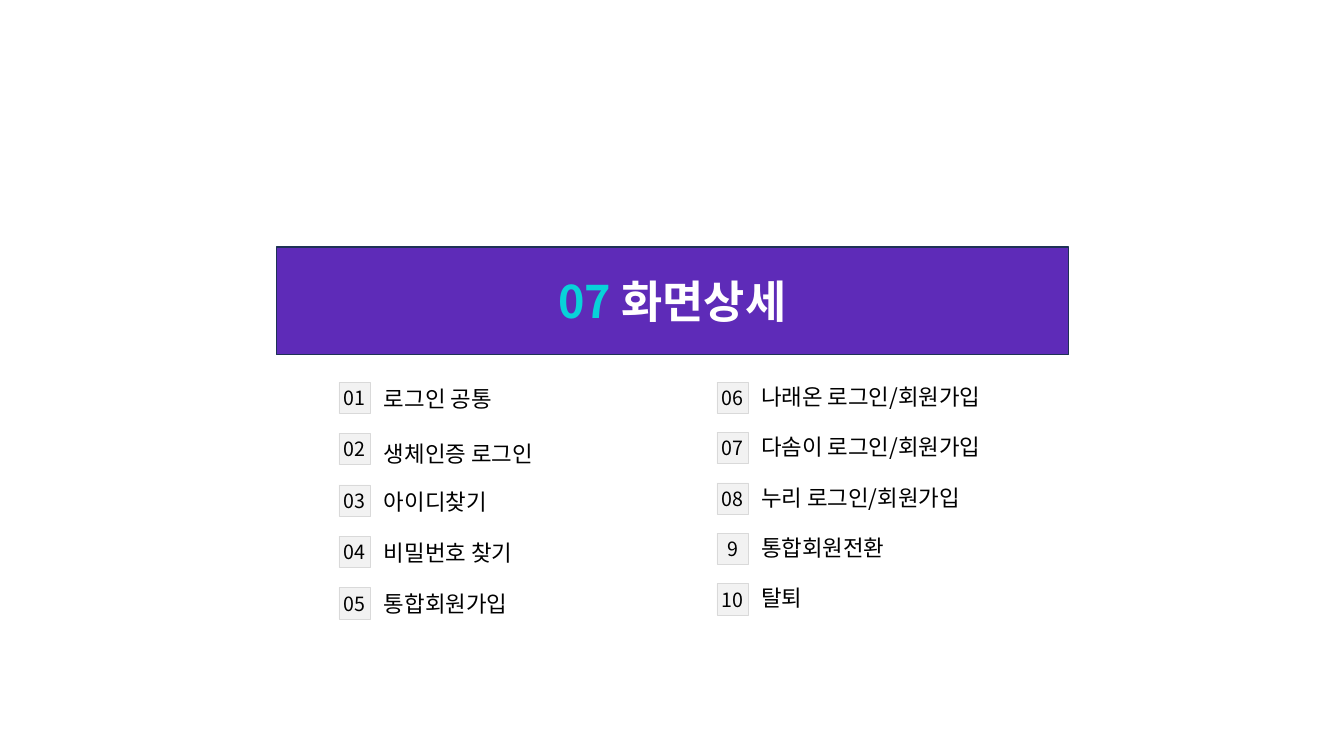
import pptx
import pptx.util
import pptx.dml.color
import pptx.enum.shapes
import pptx.enum.text
import pptx.oxml.ns
import lxml.etree

Inches = pptx.util.Inches
Pt = pptx.util.Pt
qn = pptx.oxml.ns.qn
MSO_ANCHOR = pptx.enum.text.MSO_ANCHOR
PP_ALIGN = pptx.enum.text.PP_ALIGN
MSO_AUTO_SIZE = pptx.enum.text.MSO_AUTO_SIZE

FONT = "Noto Sans CJK KR"
TITLE = [("07 ", "08D2D9"), ("화면상세", "FFFFFF")]
COLUMNS = [
    {"left": 3.36, "top": 3.79, "pitch": 0.51, "label_dx": 0.35, "label_dy": -0.02,
     "items": [("01", "로그인 공통"), ("02", "생체인증 로그인"), ("03", "아이디찾기"),
               ("04", "비밀번호 찾기"), ("05", "통합회원가입")]},
    {"left": 7.11, "top": 3.79, "pitch": 0.5, "label_dx": 0.34, "label_dy": -0.04,
     "items": [("06", "나래온 로그인/회원가입"), ("07", "다솜이 로그인/회원가입"),
               ("08", "누리 로그인/회원가입"), ("9", "통합회원전환"), ("10", "탈퇴")]},
]
LABEL_NUDGES = {"02": 0.04}
BADGE = 0.31


def color(value):
    return pptx.dml.color.RGBColor.from_string(value)


def paint(sp, fill, line, width):
    sp.fill.solid()
    sp.fill.fore_color.rgb = color(fill)
    sp.line.color.rgb = color(line)
    sp.line.width = Pt(width)


def format_paragraph(p, size, align, rgb=None, bold=False):
    p.alignment = align
    p.font.size = Pt(size)
    p.font.bold = bold
    if rgb:
        p.font.color.rgb = color(rgb)
    p.font.name = FONT
    props = p._p.pPr.find(qn("a:defRPr"))
    lxml.etree.SubElement(props, qn("a:ea")).set("typeface", FONT)


def add_title(s):
    sp = s.shapes.title
    sp.left, sp.top, sp.width, sp.height = map(Inches, (2.74, 2.45, 7.86, 1.07))
    paint(sp, "5E2BB8", "1E3256", 1)
    tf = sp.text_frame
    tf.auto_size = MSO_AUTO_SIZE.NONE
    tf.vertical_anchor = MSO_ANCHOR.MIDDLE
    p = tf.paragraphs[0]
    format_paragraph(p, 32, PP_ALIGN.CENTER, bold=True)
    for text, rgb in TITLE:
        r = p.add_run()
        r.text = text
        r.font.color.rgb = color(rgb)


def add_badge(s, left, top, number):
    sp = s.shapes.add_shape(pptx.enum.shapes.MSO_SHAPE.RECTANGLE,
                            Inches(left), Inches(top), Inches(BADGE), Inches(BADGE))
    sp.shadow.inherit = False
    paint(sp, "F2F2F2", "D9D9D9", 0.25)
    tf = sp.text_frame
    tf.word_wrap = False
    tf.vertical_anchor = MSO_ANCHOR.MIDDLE
    tf.text = number
    format_paragraph(tf.paragraphs[0], 14, PP_ALIGN.CENTER, "000000")


def add_label(s, left, top, text):
    tf = s.shapes.add_textbox(Inches(left), Inches(top), Inches(2.95), Inches(0.37)).text_frame
    tf.word_wrap = True
    tf.auto_size = MSO_AUTO_SIZE.SHAPE_TO_FIT_TEXT
    tf.text = text
    format_paragraph(tf.paragraphs[0], 16, PP_ALIGN.LEFT, "000000")


def main():
    prs = pptx.Presentation()
    prs.slide_width, prs.slide_height = Inches(13.33), Inches(7.5)
    s = prs.slides.add_slide(prs.slide_layouts[5])
    add_title(s)
    for column in COLUMNS:
        for row, (number, text) in enumerate(column["items"]):
            top = column["top"] + row * column["pitch"]
            label_top = top + column["label_dy"] + LABEL_NUDGES.get(number, 0)
            add_badge(s, column["left"], top, number)
            add_label(s, column["left"] + column["label_dx"], label_top, text)
    prs.save("out.pptx")


if __name__ == "__main__":
    main()
